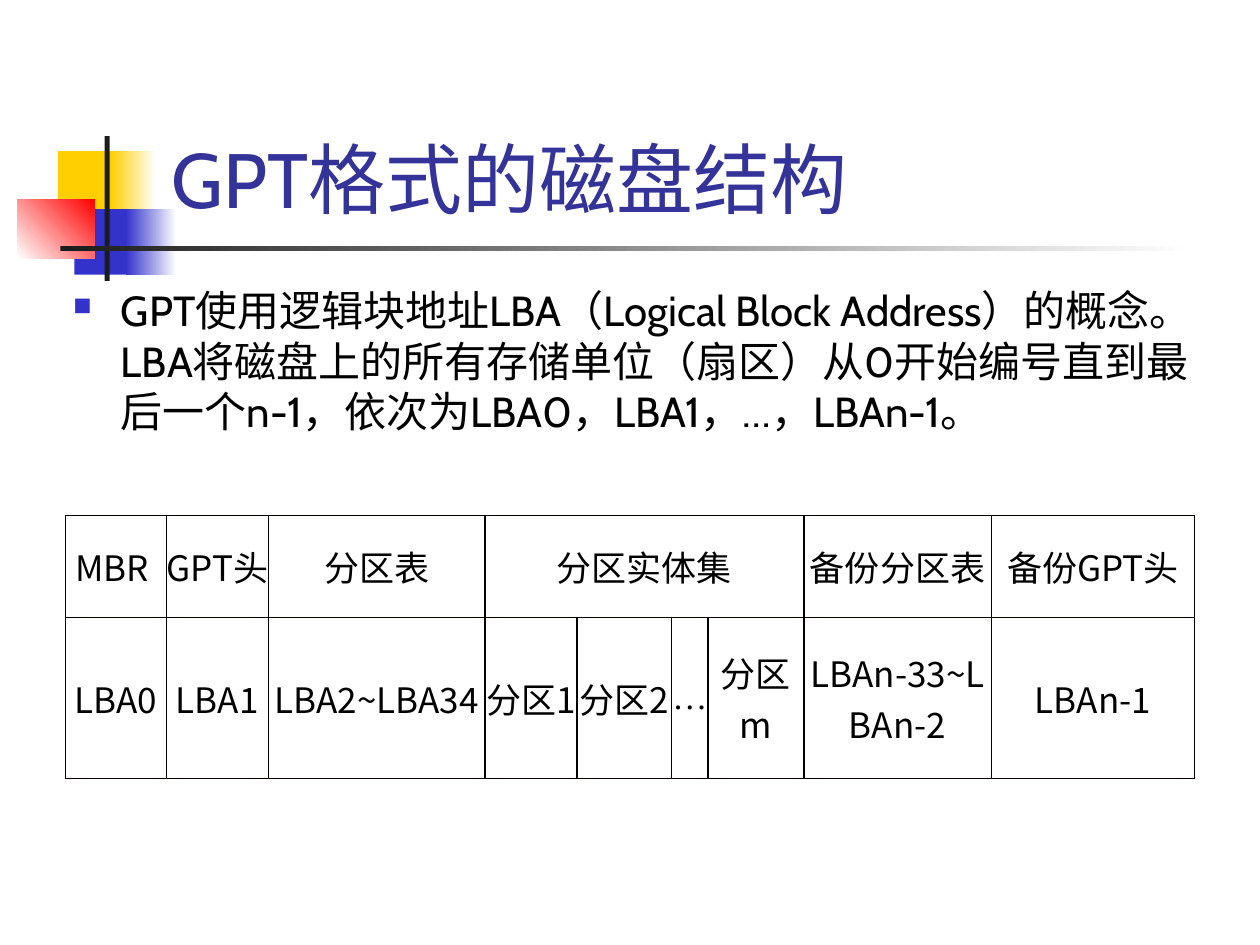
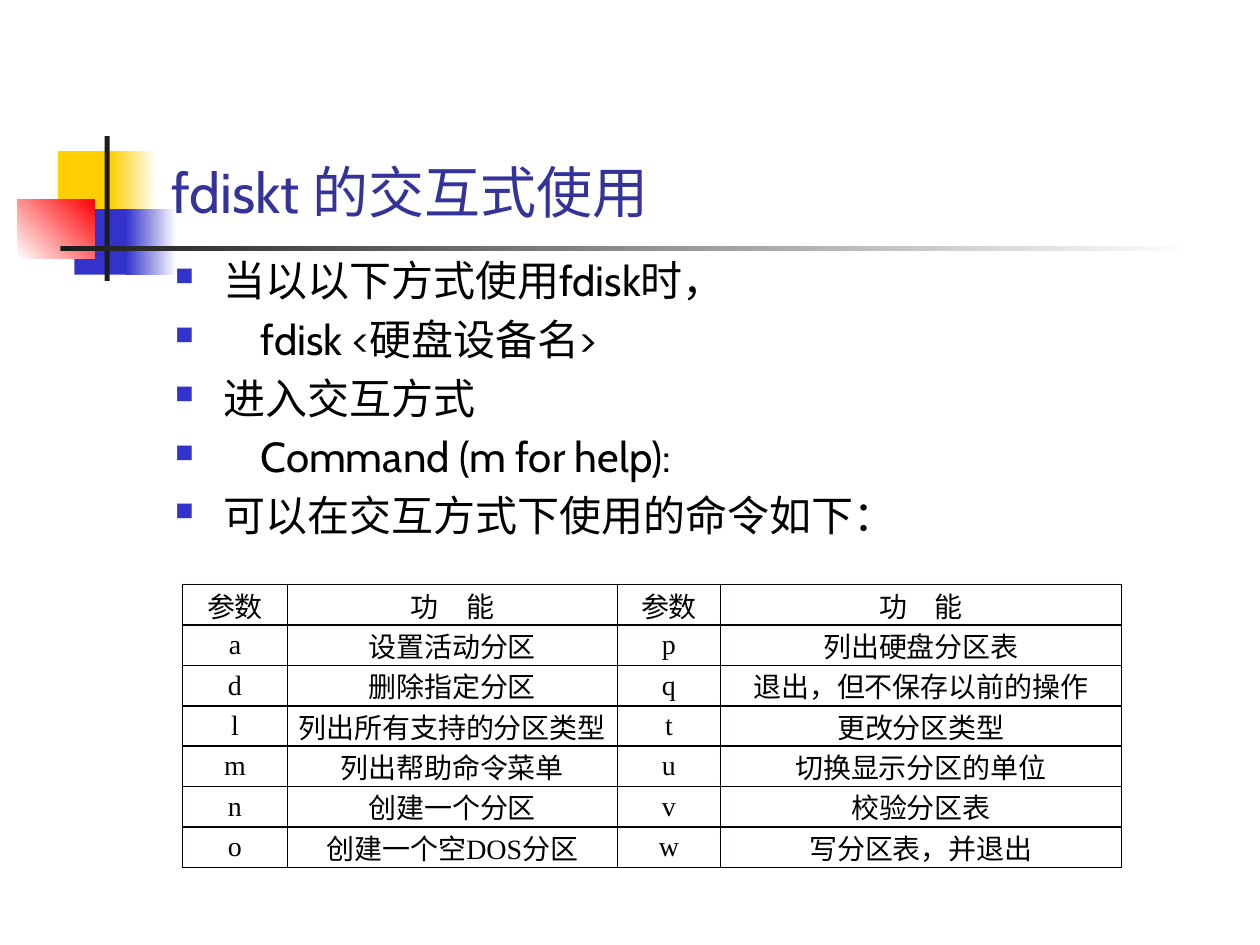
from dataclasses import dataclass

from lxml.etree import SubElement
from pptx import Presentation
from pptx.dml.color import RGBColor
from pptx.enum.shapes import MSO_SHAPE as Shape
from pptx.enum.text import MSO_ANCHOR as Anchor, MSO_AUTO_SIZE as AutoSize, PP_ALIGN as Align
from pptx.oxml.ns import qn
from pptx.util import Inches, Pt


@dataclass(frozen=True)
class Theme:
    """Colours, fonts and type sizes of the deck."""
    white: str = "FFFFFF"
    yellow: str = "FFCF01"
    blue: str = "3333CC"
    red: str = "FF0000"
    dark: str = "1C1C1C"
    title: str = "333399"
    text: str = "000000"
    border: str = "080000"
    heading_font: str = "Cabin"
    chinese_font: str = "Noto Sans CJK SC"
    serif_font: str = "Times New Roman"
    bullet_font: str = "Wingdings"
    title_size: int = 44
    small_title_size: int = 32
    body_size: int = 24
    layout_table_size: int = 20
    command_table_size: int = 16


THEME = Theme()

ORNAMENTS = [
    ((0.46, 1.2, 0.48, 0.52), (THEME.yellow,), 0),
    ((0.88, 1.2, 0.36, 0.52), (THEME.yellow, THEME.white), 0),
    ((0.59, 1.66, 0.46, 0.52), (THEME.blue,), 0),
    ((1, 1.66, 0.4, 0.52), (THEME.blue, THEME.white), 0),
    ((0.14, 1.58, 0.61, 0.47), (THEME.white, THEME.red), 45),
    ((0.83, 1.08, 0.04, 1.15), (THEME.dark,), 0),
    ((0.48, 1.95, 9, 0.04), (THEME.dark, THEME.white), 0),
]

GPT_TEXT = (
    "GPT使用逻辑块地址LBA（Logical Block Address）的概念。"
    "LBA将磁盘上的所有存储单位（扇区）从0开始编号直到最后一个n-1，"
    "依次为LBA0，LBA1，…，LBAn-1。"
)
GPT_COLUMNS = [0.8, 0.81, 1.72, 0.73, 0.75, 0.29, 0.76, 1.49, 1.61]
GPT_ROWS = [
    ["MBR ", "GPT头", "分区表", "分区实体集", "", "", "", "备份分区表", "备份GPT头"],
    ["LBA0", "LBA1", "LBA2~LBA34", "分区1", "分区2", "…", "分区m",
     "LBAn-33~LBAn-2", "LBAn-1"],
]

FDISK_LINES = [
    ("当以以下方式使用fdisk时，", 0.38),
    ("fdisk <硬盘设备名>", 0.68),
    ("进入交互方式", 0.38),
    ("Command (m for help):", 0.68),
    ("可以在交互方式下使用的命令如下：", 0.38),
]
COMMAND_COLUMNS = [0.83, 2.62, 0.82, 3.18]
COMMAND_ROWS = [
    ["参数", "功　能"] * 2,
    ["a", "设置活动分区", "p", "列出硬盘分区表"],
    ["d", "删除指定分区", "q", "退出，但不保存以前的操作"],
    ["l", "列出所有支持的分区类型", "t", "更改分区类型"],
    ["m", "列出帮助命令菜单", "u", "切换显示分区的单位"],
    ["n", "创建一个分区", "v", "校验分区表"],
    ["o", "创建一个空DOS分区", "w", "写分区表，并退出"],
]


def place(shape, box):
    """Move and size a shape to a box in inches."""
    shape.left, shape.top, shape.width, shape.height = map(Inches, box)


def format_runs(paragraph, size, color, latin, east_asian):
    """Set size, colour and both fonts on all runs of a paragraph."""
    for run in paragraph.runs:
        run.font.size = Pt(size)
        run.font.color.rgb = RGBColor.from_string(color)
        run.font.name = latin
        SubElement(run._r.get_or_add_rPr(), qn("a:ea"), typeface=east_asian)


def add_ornament(slide, box, colors, angle):
    """Add a borderless rectangle with a solid or two-colour fill."""
    shape = slide.shapes.add_shape(Shape.RECTANGLE, *map(Inches, box))
    shape.shadow.inherit = False
    shape.line.fill.background()
    if len(colors) == 1:
        shape.fill.solid()
        shape.fill.fore_color.rgb = RGBColor.from_string(colors[0])
    else:
        shape.fill.gradient()
        shape.fill.gradient_angle = angle
        for stop, color in zip(shape.fill.gradient_stops, colors):
            stop.color.rgb = RGBColor.from_string(color)
    return shape


def decorate_layout(layout, slide):
    """Draw the ornaments and hand them to the layout, behind its placeholders."""
    for index, ornament in enumerate(ORNAMENTS):
        shape = add_ornament(slide, *ornament)
        shape.name = f"Ornament {index + 1}"
        shape.element.xpath(".//p:cNvPr")[0].set("id", str(20 + index))
        layout.shapes.element.insert(2 + index, shape.element)


def set_title(slide, text, size):
    """Fill the title placeholder."""
    title = slide.shapes.title
    place(title, (1.26, 0.23, 8.52, 1.6))
    frame = title.text_frame
    frame.text = text
    frame.auto_size = AutoSize.NONE
    frame.vertical_anchor = Anchor.BOTTOM
    paragraph = frame.paragraphs[0]
    paragraph.alignment = Align.LEFT
    format_runs(paragraph, size, THEME.title, THEME.heading_font, THEME.heading_font)


def set_bullet(paragraph, indent):
    """Give a paragraph a small square bullet and a hanging indent."""
    properties = paragraph._p.get_or_add_pPr()
    properties.set("marL", str(Inches(indent)))
    properties.set("indent", str(-Inches(indent)))
    properties.set("hangingPunct", "0")
    spacing = SubElement(properties, qn("a:spcBef"))
    SubElement(spacing, qn("a:spcPct"), val="20000")
    color = SubElement(properties, qn("a:buClr"))
    SubElement(color, qn("a:srgbClr"), val=THEME.blue)
    SubElement(properties, qn("a:buSzPct"), val="60000")
    SubElement(properties, qn("a:buFont"), typeface=THEME.bullet_font,
               pitchFamily="2", charset="2")
    SubElement(properties, qn("a:buChar"), char="n")


def set_body(slide, box, lines):
    """Fill the body placeholder with bulleted (text, indent) lines."""
    body = slide.placeholders[1]
    place(body, box)
    frame = body.text_frame
    frame.text = "\n".join(text for text, _ in lines)
    frame.auto_size = AutoSize.NONE
    for paragraph, (_, indent) in zip(frame.paragraphs, lines):
        set_bullet(paragraph, indent)
        format_runs(paragraph, THEME.body_size, THEME.text,
                    THEME.heading_font, THEME.heading_font)


def set_borders(cell):
    """Draw a one-point line on each side of a cell."""
    properties = cell._tc.get_or_add_tcPr()
    for side in ("lnL", "lnR", "lnT", "lnB"):
        line = SubElement(properties, qn(f"a:{side}"), w=str(Pt(1)))
        fill = SubElement(line, qn("a:solidFill"))
        SubElement(fill, qn("a:srgbClr"), val=THEME.border)


def fill_cell(cell, text, size, font):
    """Write centred text into a bordered, unfilled cell without margins."""
    cell.margin_left = cell.margin_right = cell.margin_top = cell.margin_bottom = 0
    cell.vertical_anchor = Anchor.MIDDLE
    set_borders(cell)
    cell.fill.background()
    cell.text_frame.text = text
    paragraph = cell.text_frame.paragraphs[0]
    paragraph.alignment = Align.CENTER
    if text == "…":
        format_runs(paragraph, size, THEME.text, THEME.serif_font, THEME.serif_font)
    else:
        format_runs(paragraph, size, THEME.text, font, THEME.chinese_font)


def add_grid(slide, left, top, columns, heights, rows, size, font):
    """Add a plain bordered table and return it."""
    frame = slide.shapes.add_table(
        len(rows), len(columns), Inches(left), Inches(top),
        Inches(sum(columns)), Inches(sum(heights)))
    table = frame.table
    table.first_row = table.horz_banding = False
    for column, width in zip(table.columns, columns):
        column.width = Inches(width)
    for row, height, texts in zip(table.rows, heights, rows):
        row.height = Inches(height)
        for cell, text in zip(row.cells, texts):
            fill_cell(cell, text, size, font)
    return table


def build_gpt_slide(slide):
    """Show the disk layout of the GPT format."""
    set_title(slide, "GPT格式的磁盘结构", THEME.title_size)
    set_body(slide, (0.48, 2.21, 9.32, 2), [(GPT_TEXT, 0.38)])
    table = add_grid(slide, 0.52, 4.09, GPT_COLUMNS, [0.81, 1.28], GPT_ROWS,
                     THEME.layout_table_size, THEME.chinese_font)
    table.cell(0, 3).merge(table.cell(0, 6))


def build_fdisk_slide(slide):
    """Show the interactive commands of fdisk."""
    set_title(slide, "fdiskt 的交互式使用", THEME.small_title_size)
    set_body(slide, (1.29, 1.97, 8.5, 4.5), FDISK_LINES)
    add_grid(slide, 1.45, 4.64, COMMAND_COLUMNS, [0.27] * len(COMMAND_ROWS),
             COMMAND_ROWS, THEME.command_table_size, THEME.serif_font)


def main():
    """Build and save the two slides."""
    presentation = Presentation()
    presentation.slide_width, presentation.slide_height = Inches(10), Inches(7.5)
    layout = presentation.slide_layouts[1]
    gpt_slide = presentation.slides.add_slide(layout)
    decorate_layout(layout, gpt_slide)
    build_gpt_slide(gpt_slide)
    build_fdisk_slide(presentation.slides.add_slide(layout))
    presentation.save("out.pptx")


if __name__ == "__main__":
    main()
